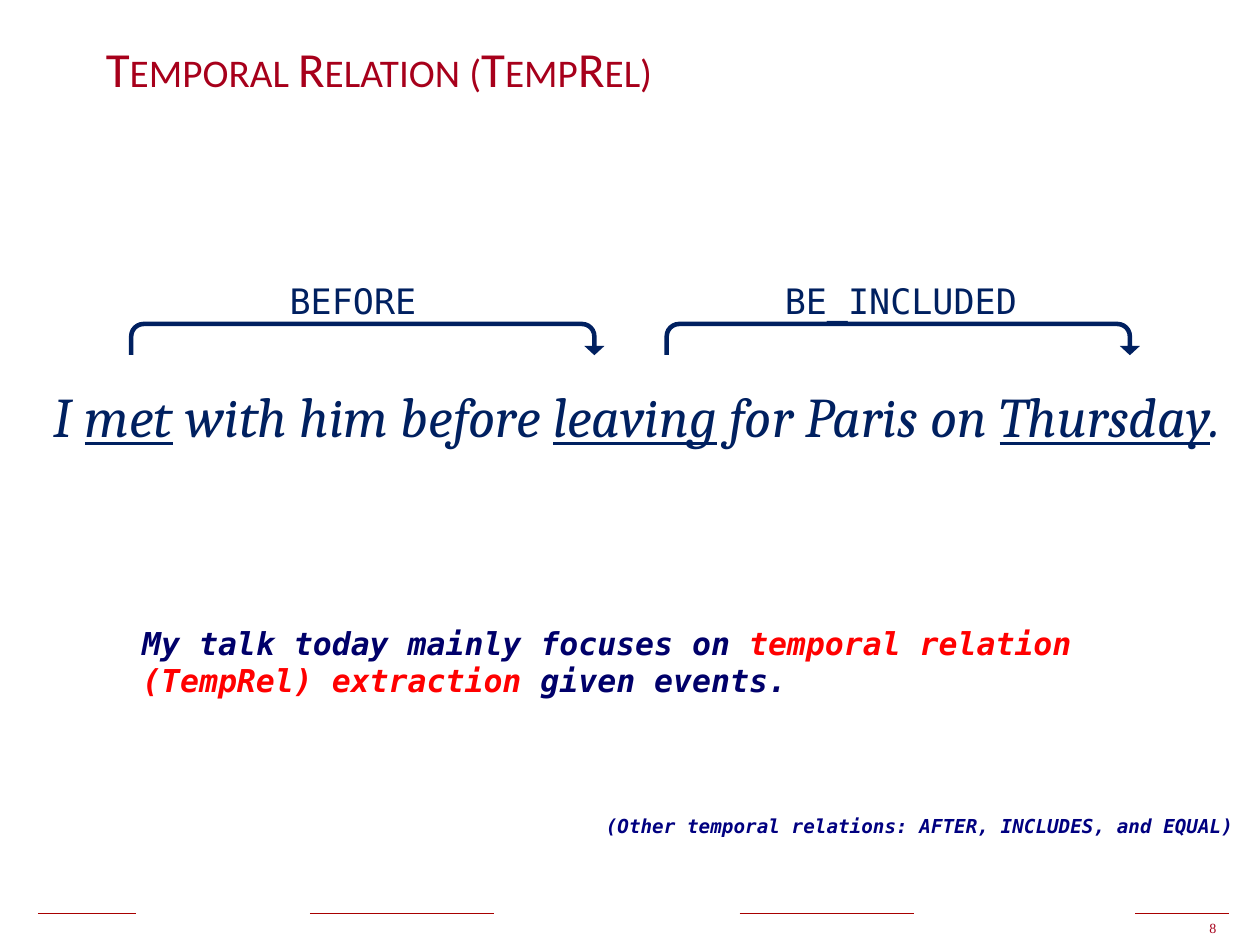
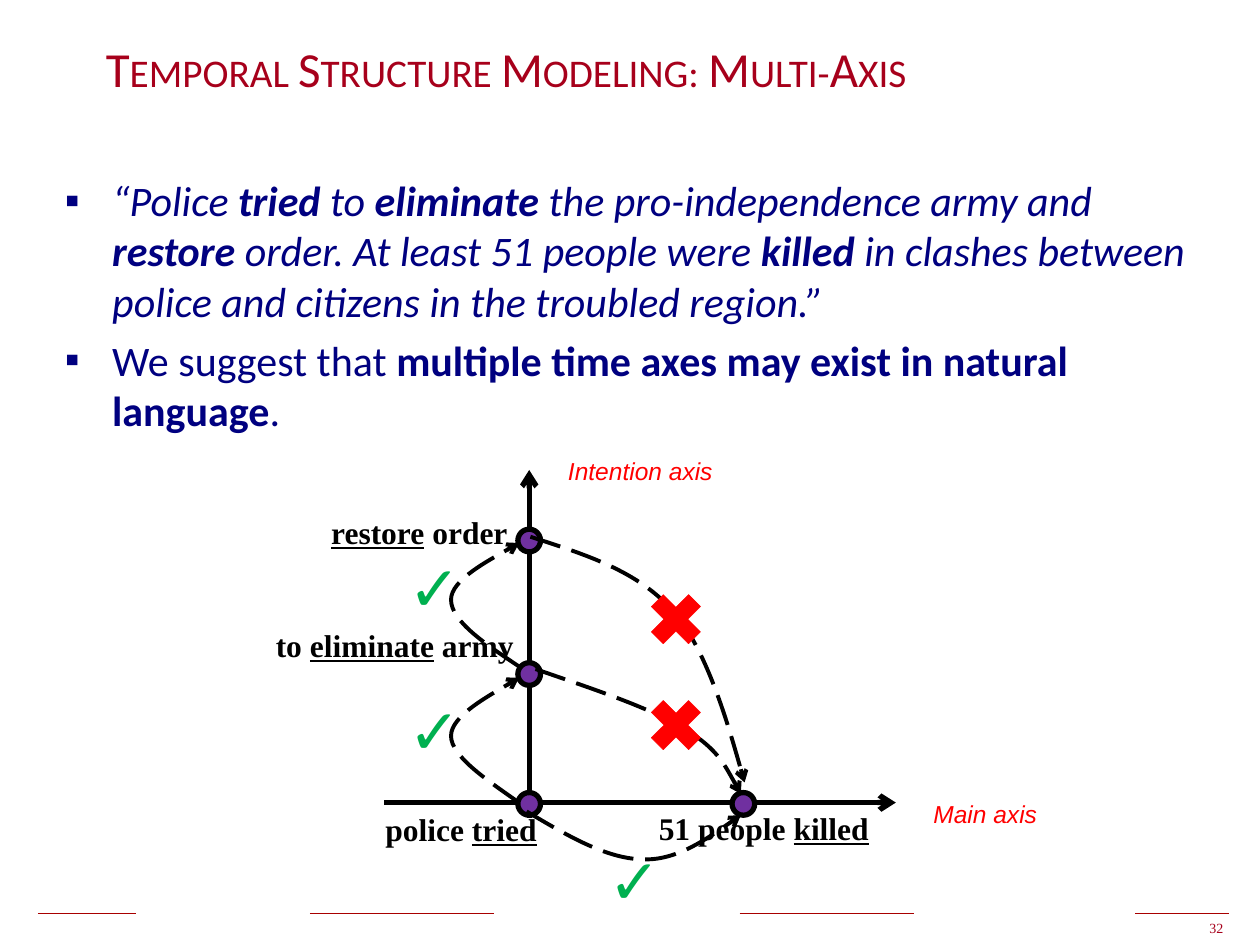
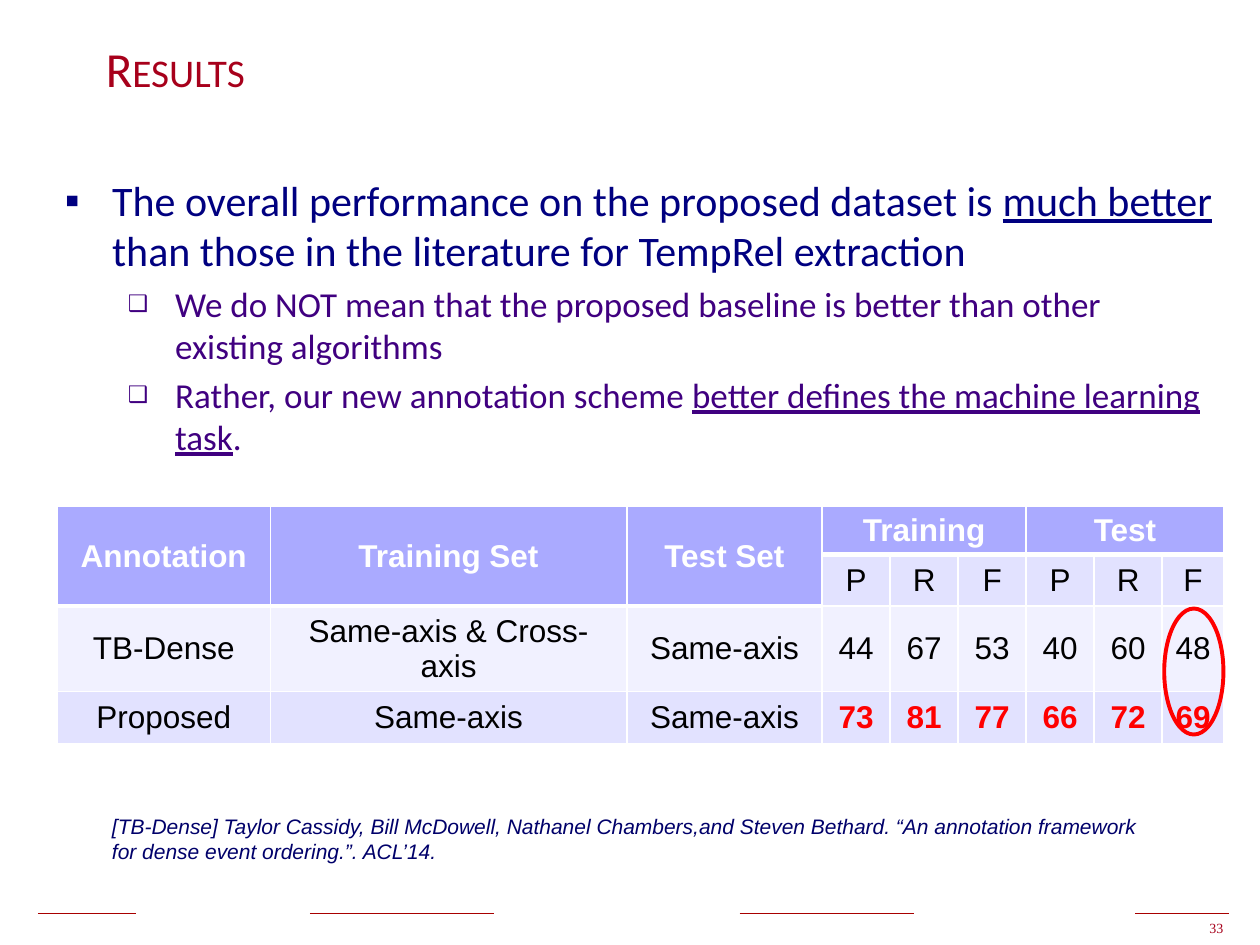
import pptx
import pptx.dml.color
import pptx.enum.dml
import pptx.enum.shapes
import pptx.enum.text
import pptx.oxml.ns
import pptx.util
from lxml import etree

KIND = pptx.enum.shapes.MSO_SHAPE
TEXT = pptx.enum.text
qn = pptx.oxml.ns.qn

hex_of = {
    "rule": "A80000", "title": "A7001B", "ink": "002060", "navy": "000080",
    "deep": "00006A", "plum": "400080", "red": "FF0000", "black": "000000",
    "white": "FFFFFF", "dot": "7030A0", "green": "00B050",
    "head": "AAAAFF", "dark": "E2E2FF", "pale": "F1F1FF",
}
hue = {name: pptx.dml.color.RGBColor.from_string(code) for name, code in hex_of.items()}

MONO = "DejaVu Sans Mono"
ROMAN = "Times New Roman"
looks = {
    "title": ("Calibri", 28, "title", False, False),
    "quote": ("Calibri", 24, "navy", False, True),
    "point": ("Calibri", 24, "navy", False, False),
    "sub": ("Calibri", 20, "plum", False, False),
    "page": (ROMAN, 8, "title", False, False),
    "story": ("Cambria", 32, "ink", False, True),
    "link": (MONO, 20, "ink", False, False),
    "focus": (MONO, 18, "deep", True, True),
    "aside": (MONO, 11, "navy", True, True),
    "event": (ROMAN, 18, "black", True, False),
    "tick": ("Arial", 36, "green", False, False),
    "axis": ("Arial", 14, "red", False, True),
    "cite": ("Arial", 12, "deep", False, True),
    "head": ("Arial", 18, "white", True, False),
    "cell": ("Arial", 18, "black", False, False),
    "best": ("Arial", 18, "red", True, False),
}

deck = pptx.Presentation()
deck.slide_width = pptx.util.Inches(10)
deck.slide_height = pptx.util.Inches(7.5)
unit = deck.slide_width / 100


def grid(*steps):
    return [round(step * unit) for step in steps]


def write(para, text, look, mark="underline"):
    for i, part in enumerate(text.split("|")):
        if not part:
            continue
        run = para.add_run()
        run.text = part
        if i % 2 and mark in hue:
            run.font.color.rgb = hue[mark]
        elif i % 2:
            setattr(run.font, mark, True)
    name, size, tint, bold, slant = looks[look]
    font = para.font
    font.name, font.size = name, pptx.util.Pt(size)
    font.bold, font.italic = bold, slant
    font.color.rgb = hue[tint]


titles = [
    "Temporal Relation (TempRel)",
    "Temporal Structure Modeling: Multi-Axis",
    "Results",
]
lists = [
    [],
    [
        ("quote", "bold", "“Police |tried| to |eliminate| the pro-independence army and |restore| order. "
         "At least 51 people were |killed| in clashes between police and citizens in the troubled region.”"),
        ("point", "bold", "We suggest that |multiple time axes may exist in natural language|."),
    ],
    [
        ("point", "underline", "The overall performance on the proposed dataset is |much better| "
         "than those in the literature for TempRel extraction"),
        ("sub", "underline", "We do NOT mean that the proposed baseline is better than other existing algorithms"),
        ("sub", "underline", "Rather, our new annotation scheme |better defines the machine learning task|."),
    ],
]
numbers = ["8", "32", "33"]
notes = [
    [
        ("story", (3.3, 29.8, 96.7, 6.4), True, "I |met| with him before |leaving| for Paris on |Thursday|."),
        ("link", (22, 21.7, 12.1, 4.4), False, "BEFORE"),
        ("link", (61.3, 21.7, 20.5, 4.4), False, "BE_INCLUDED"),
        ("aside", (47.1, 64.15, 52.9, 2.9), True, "(Other temporal relations: AFTER, INCLUDES, and EQUAL)"),
        ("focus", (10.3, 49, 82.1, 7.1), True,
         "My talk today mainly focuses on |temporal relation (TempRel) extraction| given events."),
    ],
    [
        ("event", (29.6, 63.8, 14.2, 4), False, "police |tried"),
        ("event", (51.3, 63.7, 18.8, 4), False, "51 people |killed"),
        ("event", (20.9, 49.2, 21.1, 4), False, "to |eliminate| army"),
        ("event", (25.3, 40.2, 16.8, 4), False, "|restore| order"),
        ("tick", (31.4, 43, 7.1, 7.1), False, "✓"),
        ("tick", (31.4, 54.4, 7.1, 7.1), False, "✓"),
        ("tick", (47.3, 66.3, 7.1, 7.1), False, "✓"),
        ("axis", (44.1, 35.7, 13.6, 3.4), False, "Intention axis"),
        ("axis", (73.1, 62.9, 10.3, 3.4), False, "Main axis"),
    ],
    [
        ("cite", (7.9, 64.1, 84.5, 5), True,
         "[TB-Dense] Taylor Cassidy, Bill McDowell, Nathanel Chambers,and Steven Bethard. "
         "“An annotation framework\nfor dense event ordering.”. ACL’14."),
    ],
]

pages = [deck.slides.add_slide(deck.slide_layouts[1 if items else 5]) for items in lists]
first, second, third = pages

lines = [("rule", 1, (x, 72.5, end, 72.5)) for x, end in [(3, 10.8), (24.6, 39.2), (58.7, 72.5), (90.1, 97.5)]]
lines += [("black", 3, ends) for ends in [(30.5, 63.7, 71.1, 63.7), (42, 64.9, 42, 37.3)]]
for tint, width, ends in lines:
    line = second.shapes.add_connector(pptx.enum.shapes.MSO_CONNECTOR.STRAIGHT, *grid(*ends))
    line.line.color.rgb = hue[tint]
    line.line.width = pptx.util.Pt(width)
    line.line.dash_style = pptx.enum.dml.MSO_LINE.SOLID
    etree.SubElement(line._element.spPr, qn("a:effectLst"))
    line._element.remove(line._element.find(qn("p:style")))
    if tint == "rule":
        deck.slide_master.shapes._spTree.append(line._element)
    else:
        etree.SubElement(line.line._get_or_add_ln(), qn("a:tailEnd"), type="arrow")

for page, title, items, boxes, number in zip(pages, titles, lists, notes, numbers):
    head = page.shapes.title
    head.left, head.top, head.width, head.height = grid(7.4, 2.5, 85, 5.8)
    frame = head.text_frame
    frame.auto_size = TEXT.MSO_AUTO_SIZE.NONE
    frame.vertical_anchor = TEXT.MSO_ANCHOR.MIDDLE
    para = frame.paragraphs[0]
    para.alignment = TEXT.PP_ALIGN.LEFT
    write(para, title, "title")
    para.runs[0].font._element.set("cap", "small")

    if items:
        body = page.placeholders[1]
        body.left, body.top, body.width, body.height = grid(4.15, 13.35, 93.3, 56.7)
        frame = body.text_frame
        frame.auto_size = TEXT.MSO_AUTO_SIZE.NONE
    for i, (look, mark, text) in enumerate(items):
        para = frame.add_paragraph() if i else frame.paragraphs[0]
        sub = look == "sub"
        para.level = int(sub)
        if not i:
            para.space_before = pptx.util.Pt(0)
        prop = para._p.get_or_add_pPr()
        left, hang = grid(8.75 if sub else 3.75, -3.75)
        prop.set("marL", str(left))
        prop.set("indent", str(hang))
        tint = etree.SubElement(prop, qn("a:buClr"))
        etree.SubElement(tint, qn("a:srgbClr"), val=hex_of[looks[look][2]])
        etree.SubElement(prop, qn("a:buSzPct"), val="65000" if sub else "100000")
        etree.SubElement(prop, qn("a:buFont"), typeface="Arial")
        etree.SubElement(prop, qn("a:buChar"), char="❑" if sub else "▪")
        write(para, text, look, mark)

    for look, box, wrap, text in boxes + [("page", (95, 72.5, 3.3, 2.3), False, number)]:
        frame = page.shapes.add_textbox(*grid(*box)).text_frame
        frame.word_wrap = wrap
        for i, part in enumerate(text.split("\n")):
            para = frame.add_paragraph() if i else frame.paragraphs[0]
            write(para, part, look, "red" if look == "focus" else "underline")

widths = [16.9, 28.3, 15.5] + [5.4] * 5 + [4.9]
heights = [3.7] + [4.1] * 3
rows = [
    ["Annotation", "Training Set", "Test Set", "Training", "", "", "Test", "", ""],
    ["", "", "", "P", "R", "F", "P", "R", "F"],
    ["TB-Dense", "Same-axis & Cross-axis", "Same-axis", "44", "67", "53", "40", "60", "48"],
    ["Proposed", "Same-axis", "Same-axis", "73", "81", "77", "66", "72", "69"],
]
table = third.shapes.add_table(4, 9, *grid(4.55, 40.2, sum(widths), sum(heights))).table
for col, width in zip(table.columns, grid(*widths)):
    col.width = width
for row, height in zip(table.rows, grid(*heights)):
    row.height = height
for r, row in enumerate(rows):
    for c, text in enumerate(row):
        cell = table.cell(r, c)
        top = r == 0 or (r == 1 and c < 3)
        prop = cell._tc.get_or_add_tcPr()
        for side in "LRTB":
            edge = etree.SubElement(prop, qn("a:ln" + side), w=str(pptx.util.Pt(3 if top and side == "B" else 1)))
            paint = etree.SubElement(edge, qn("a:solidFill"))
            etree.SubElement(paint, qn("a:srgbClr"), val=hex_of["white"])
        cell.fill.solid()
        cell.fill.fore_color.rgb = hue["head" if top else "pale" if r == 2 else "dark"]
        cell.vertical_anchor = TEXT.MSO_ANCHOR.MIDDLE
        cell.margin_top = cell.margin_bottom = pptx.util.Inches(0.04)
        para = cell.text_frame.paragraphs[0]
        para.alignment = TEXT.PP_ALIGN.CENTER
        write(para, text, "head" if top else "best" if r == 3 and c > 2 else "cell")
for c in range(3):
    table.cell(0, c).merge(table.cell(1, c))
for c in (3, 6):
    table.cell(0, c).merge(table.cell(0, c + 2))

curves = [
    [(42.5, 53.1), (47.1, 54.7), (51.7, 56.2), (54.4, 57.9), (57.1, 59.5), (58.8, 63), (58.8, 63)],
    [(42.1, 42.6), (46.4, 44), (50.7, 45.3), (53.5, 48.6), (56.3, 51.8), (59.1, 62.1), (59.1, 62.1)],
    [(41.2, 63.7), (38.5, 61.8), (35.8, 60), (35.8, 58.4), (35.8, 56.8), (41.2, 53.8), (41.2, 53.8)],
    [(41.2, 52.9), (38.5, 51.1), (35.8, 49.3), (35.8, 47.6), (35.8, 46), (41.2, 43.1), (41.2, 43.1)],
    [(41.8, 64.4), (45, 66.3), (48.2, 68.2), (51.1, 68.2), (53.9, 68.3), (58.8, 64.7), (58.8, 64.7)],
]
shapes = [(first, KIND.U_TURN_ARROW, (x, 25.6, 37.5, 2.5), "ink", "ink", 1) for x in (10.3, 52.8)]
shapes += [
    (second, KIND.OVAL, (x, y, 1.8, 1.8), "dot", "black", 3)
    for x, y in [(41.1, 62.9), (41.1, 52.6), (58.1, 62.9), (41.1, 42)]
]
shapes += [(second, None, curve, None, "black", 2.25) for curve in curves]
shapes += [(second, KIND.MATH_MULTIPLY, (50.8, y, 5.7, 5.7), "red", "red", 0.25) for y in (54.7, 46.3)]
shapes.append((third, KIND.OVAL, (92.4, 48.3, 4.7, 10), None, "red", 2.25))

for page, kind, spots, fill, edge, width in shapes:
    if kind is None:
        pen = page.shapes.build_freeform(*grid(*spots[0]))
        pen.add_line_segments([grid(*spot) for spot in spots[1:]], close=False)
        shape = pen.convert_to_shape()
        legs = list(shape._element.iter(qn("a:lnTo")))
        trace = legs[0].getparent()
        for k in (0, 3):
            bend = etree.SubElement(trace, qn("a:cubicBezTo"))
            for leg in legs[k:k + 3]:
                bend.append(leg[0])
                trace.remove(leg)
    else:
        shape = page.shapes.add_shape(kind, *grid(*spots))
    shape.shadow.inherit = False
    if fill:
        shape.fill.solid()
        shape.fill.fore_color.rgb = hue[fill]
    else:
        shape.fill.background()
    shape.line.color.rgb = hue[edge]
    shape.line.width = pptx.util.Pt(width)
    if kind is None:
        shape.line.dash_style = pptx.enum.dml.MSO_LINE.LONG_DASH
        etree.SubElement(shape.line._get_or_add_ln(), qn("a:tailEnd"), type="arrow")
    if kind == KIND.U_TURN_ARROW:
        etree.SubElement(shape.line._get_or_add_ln(), qn("a:miter"), lim="800000")
        for i, bend in enumerate((0.09, 0.25, 0.23, 0.44, 1)):
            shape.adjustments[i] = bend

deck.save("out.pptx")
